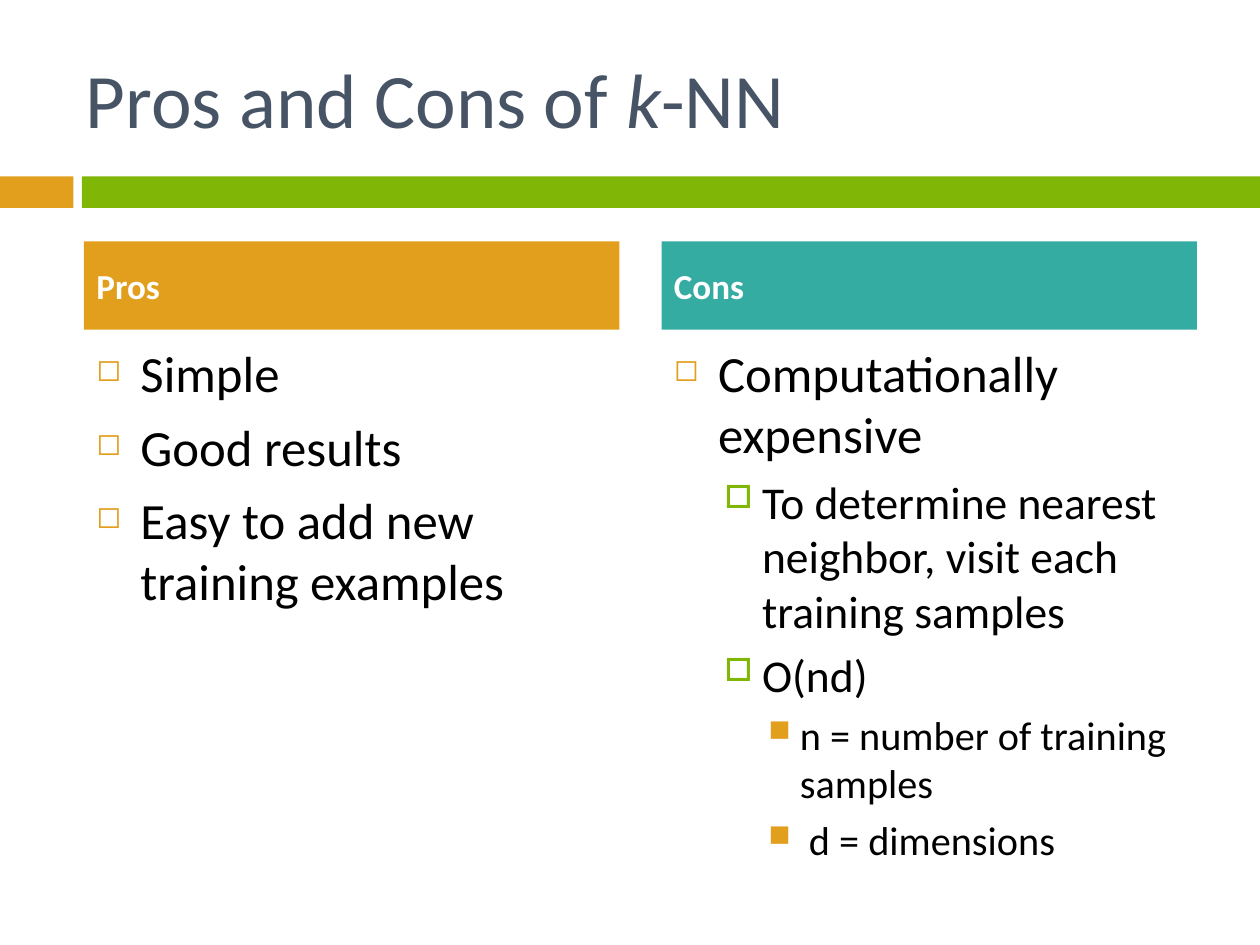
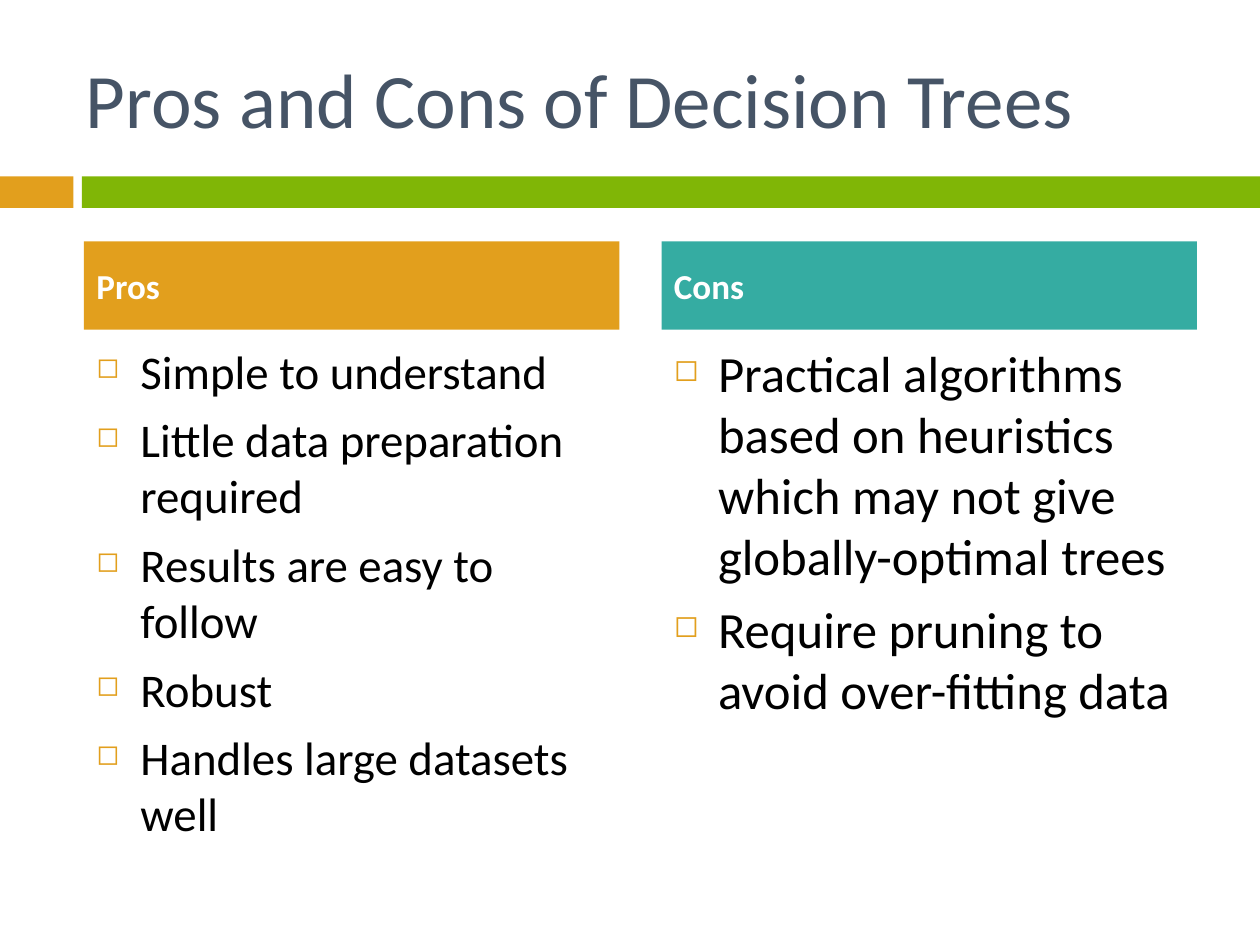
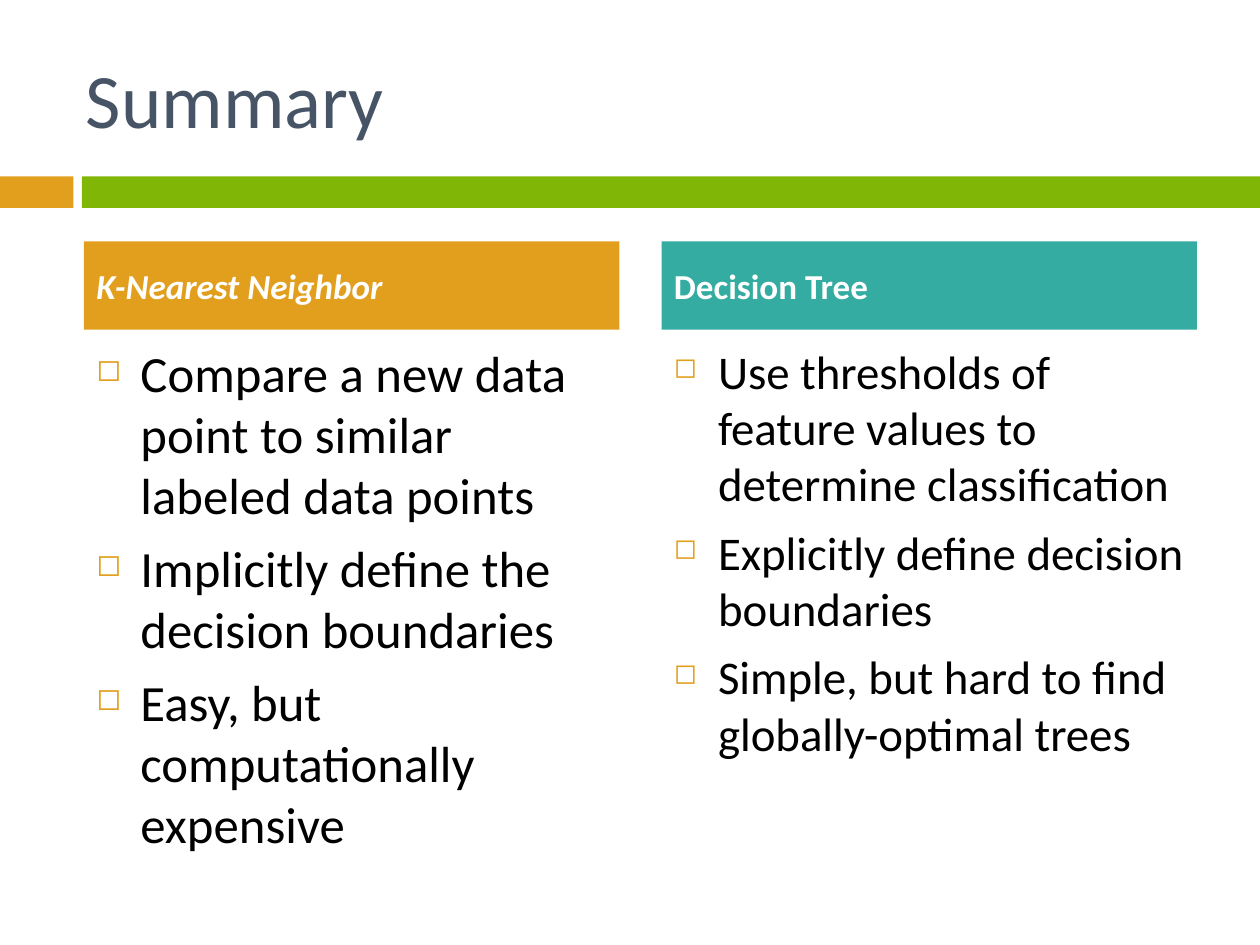
from dataclasses import dataclass

from lxml import etree
from pptx import Presentation
from pptx.dml.color import RGBColor
from pptx.enum.shapes import MSO_SHAPE
from pptx.enum.text import MSO_ANCHOR, PP_ALIGN
from pptx.oxml.ns import qn
from pptx.shapes.autoshape import Shape
from pptx.slide import Slide
from pptx.text.text import Font, _Paragraph
from pptx.util import Inches, Length, Pt

RECTANGLE = MSO_SHAPE.RECTANGLE
MIDDLE = MSO_ANCHOR.MIDDLE
LEFT = PP_ALIGN.LEFT

ORANGE = RGBColor(0xE2, 0x9F, 0x1D)
GREEN = RGBColor(0x80, 0xB6, 0x06)
TEAL = RGBColor(0x35, 0xAC, 0xA2)
SLATE = RGBColor(0x46, 0x54, 0x66)
WHITE = RGBColor(0xFF, 0xFF, 0xFF)
BLACK = RGBColor(0x00, 0x00, 0x00)

FONT = "Calibri"
COLUMNS, ROWS = 120, 90
CELL = Inches(1) / 12
HEADING_SPACE = 7
FULL_SIZE, REDUCED_SIZE = 29, 26.8


@dataclass(frozen=True)
class Area:
    column: float
    row: float
    columns: float
    rows: float

    def emu(self) -> list[Length]:
        return [cells(n) for n in (self.column, self.row, self.columns, self.rows)]


@dataclass(frozen=True)
class Level:
    bullet: str
    bullet_color: RGBColor
    bullet_percent: int
    margin: float
    hanging: float
    space: float


@dataclass(frozen=True)
class Point:
    text: str
    level: int = 0
    size: float = FULL_SIZE


@dataclass(frozen=True)
class Phrase:
    text: str
    italic: bool = False


@dataclass(frozen=True)
class Side:
    heading: Phrase
    points: list[Point]


@dataclass(frozen=True)
class Comparison:
    title: list[Phrase]
    sides: tuple[Side, Side]


LEVELS = (
    Level("◻", ORANGE, 60, 4.2, 4.2, 7),
    Level("□", GREEN, 70, 8.4, 3.6, 5.5),
    Level("■", ORANGE, 75, 12, 3, 5),
)

BANDS = ((Area(0, 16.8, 7, 3), ORANGE), (Area(7.8, 16.8, COLUMNS - 7.8, 3), GREEN))
TITLE_AREA = Area(7, 3.6, 107, 11.4)
SIDE_WIDTH, SIDE_STEP, FIRST_SIDE = 51, 55, 8
HEADING_COLORS = (ORANGE, TEAL)

COMPARISONS = (
    Comparison(
        [Phrase("Pros and Cons of "), Phrase("k", True), Phrase("-NN")],
        (
            Side(Phrase("Pros"), [
                Point("Simple"),
                Point("Good results"),
                Point("Easy to add new training examples"),
            ]),
            Side(Phrase("Cons"), [
                Point("Computationally expensive"),
                Point("To determine nearest neighbor, visit each training samples", 1, 26),
                Point("O(nd)", 1, 26),
                Point("n = number of training samples", 2, 23),
                Point(" d = dimensions", 2, 23),
            ]),
        ),
    ),
    Comparison(
        [Phrase("Pros and Cons of Decision Trees")],
        (
            Side(Phrase("Pros"), [
                Point("Simple to understand", size=REDUCED_SIZE),
                Point("Little data preparation required", size=REDUCED_SIZE),
                Point("Results are easy to follow", size=REDUCED_SIZE),
                Point("Robust", size=REDUCED_SIZE),
                Point("Handles large datasets well", size=REDUCED_SIZE),
            ]),
            Side(Phrase("Cons"), [
                Point("Practical algorithms based on heuristics which may not give "
                      "globally-optimal trees"),
                Point("Require pruning to avoid over-fitting data"),
            ]),
        ),
    ),
    Comparison(
        [Phrase("Summary")],
        (
            Side(Phrase("K-Nearest Neighbor", True), [
                Point("Compare a new data point to similar labeled data points"),
                Point("Implicitly define the decision boundaries"),
                Point("Easy, but computationally expensive"),
            ]),
            Side(Phrase("Decision Tree"), [
                Point("Use thresholds of feature values to determine classification",
                      size=REDUCED_SIZE),
                Point("Explicitly define decision boundaries", size=REDUCED_SIZE),
                Point("Simple, but hard to find globally-optimal trees", size=REDUCED_SIZE),
            ]),
        ),
    ),
)


def cells(count: float) -> Length:
    return Length(round(count * CELL))


def style(font: Font, size: float, color: RGBColor, bold: bool = False,
          italic: bool = False) -> None:
    font.name = FONT
    font.size = Pt(size)
    font.color.rgb = color
    font.bold = bold
    font.italic = italic


def add_block(slide: Slide, area: Area, color: RGBColor) -> Shape:
    block = slide.shapes.add_shape(RECTANGLE, *area.emu())
    block.shadow.inherit = False
    block.fill.solid()
    block.fill.fore_color.rgb = color
    block.line.fill.background()
    return block


def add_text(slide: Slide, area: Area) -> Shape:
    box = slide.shapes.add_textbox(*area.emu())
    box.text_frame.word_wrap = True
    return box


def add_title(slide: Slide, phrases: list[Phrase]) -> None:
    frame = add_text(slide, TITLE_AREA).text_frame
    frame.vertical_anchor = MIDDLE
    for phrase in phrases:
        run = frame.paragraphs[0].add_run()
        run.text = phrase.text
        style(run.font, 44, SLATE, italic=phrase.italic)


def add_heading(slide: Slide, area: Area, heading: Phrase, color: RGBColor) -> None:
    frame = add_block(slide, area, color).text_frame
    frame.vertical_anchor = MIDDLE
    frame.text = heading.text
    line = frame.paragraphs[0]
    line.alignment = LEFT
    line.space_before = Pt(HEADING_SPACE)
    style(line.runs[0].font, 20, WHITE, bold=True, italic=heading.italic)


def set_bullet(paragraph: _Paragraph, level: Level) -> None:
    properties = paragraph._p.get_or_add_pPr()
    properties.set("marL", str(cells(level.margin)))
    properties.set("indent", str(-cells(level.hanging)))
    color = etree.SubElement(properties, qn("a:buClr"))
    etree.SubElement(color, qn("a:srgbClr"), val=str(level.bullet_color))
    etree.SubElement(properties, qn("a:buSzPct"), val=str(level.bullet_percent * 1000))
    etree.SubElement(properties, qn("a:buChar"), char=level.bullet)


def add_points(slide: Slide, area: Area, points: list[Point]) -> None:
    frame = add_text(slide, area).text_frame
    frame.text = "\n".join(point.text for point in points)
    for paragraph, point in zip(frame.paragraphs, points):
        level = LEVELS[point.level]
        paragraph.level = point.level
        paragraph.space_before = Pt(level.space)
        set_bullet(paragraph, level)
        style(paragraph.runs[0].font, point.size, BLACK)


def add_comparison(slide: Slide, comparison: Comparison) -> None:
    for area, color in BANDS:
        add_block(slide, area, color)
    add_title(slide, comparison.title)
    for index, (side, color) in enumerate(zip(comparison.sides, HEADING_COLORS)):
        column = FIRST_SIDE + index * SIDE_STEP
        add_points(slide, Area(column, 32, SIDE_WIDTH, 47), side.points)
        add_heading(slide, Area(column, 23, SIDE_WIDTH, 8.4), side.heading, color)


def main() -> None:
    deck = Presentation()
    deck.slide_width = cells(COLUMNS)
    deck.slide_height = cells(ROWS)
    blank = deck.slide_layouts[6]
    for comparison in COMPARISONS:
        add_comparison(deck.slides.add_slide(blank), comparison)
    deck.save("out.pptx")


if __name__ == "__main__":
    main()
